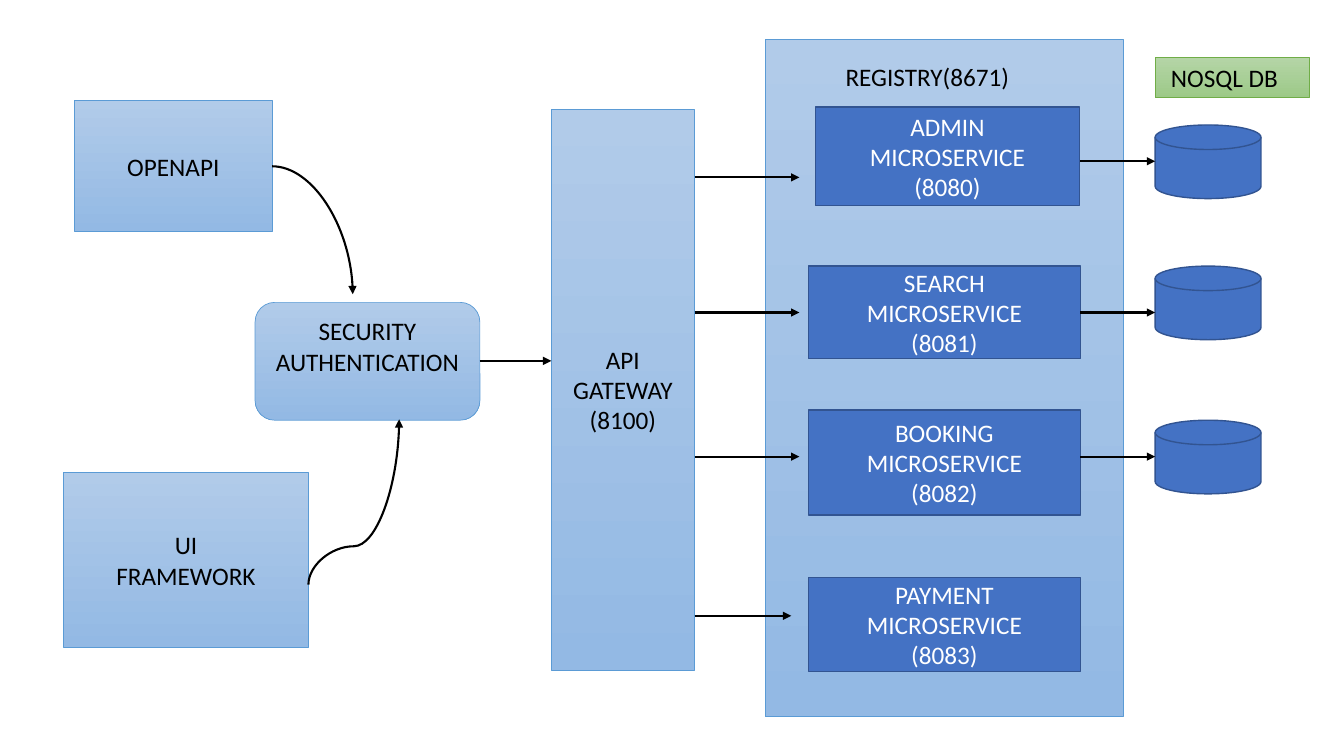
"""Builds a one-slide diagram of a microservice architecture behind an API gateway."""
from dataclasses import dataclass
from typing import Optional

from lxml import etree
from pptx import Presentation
from pptx.dml.color import RGBColor
from pptx.enum.shapes import MSO_CONNECTOR, MSO_SHAPE
from pptx.enum.text import MSO_ANCHOR, PP_ALIGN
from pptx.oxml.ns import qn
from pptx.util import Pt

RECTANGLE = MSO_SHAPE.RECTANGLE
ROUNDED = MSO_SHAPE.ROUNDED_RECTANGLE
DISK = MSO_SHAPE.FLOWCHART_MAGNETIC_DISK
STRAIGHT = MSO_CONNECTOR.STRAIGHT
CURVE = MSO_CONNECTOR.CURVE
CENTER, LEFT = PP_ALIGN.CENTER, PP_ALIGN.LEFT
MIDDLE, TOP = MSO_ANCHOR.MIDDLE, MSO_ANCHOR.TOP

BLACK = RGBColor(0x00, 0x00, 0x00)
WHITE = RGBColor(0xFF, 0xFF, 0xFF)
BLUE = RGBColor(0x44, 0x72, 0xC4)
DARK_BLUE = RGBColor(0x32, 0x54, 0x91)
SKY_LIGHT = RGBColor(0xB1, 0xCB, 0xE9)
SKY_DEEP = RGBColor(0x93, 0xB9, 0xE4)
SKY_EDGE = RGBColor(0x5B, 0x9B, 0xD5)
GREEN_LIGHT = RGBColor(0xB5, 0xD5, 0xA7)
GREEN_DEEP = RGBColor(0x9C, 0xC9, 0x87)
GREEN_EDGE = RGBColor(0x70, 0xAD, 0x47)

FONT = "Calibri"
TEXT_SIZE = 18
SERVICE_LEFT, SERVICE_WIDTH, SERVICE_RIGHT = 577.4, 194.4, 771.8
DISK_LEFT, DISK_WIDTH, DISK_HEIGHT = 825.1, 75.6, 52.6
GATEWAY_LEFT, GATEWAY_RIGHT = 393.8, 496.1


@dataclass(frozen=True)
class Style:
    """Fill, outline and text colour of a box."""
    top: RGBColor
    bottom: RGBColor
    edge: RGBColor
    edge_width: float
    text: RGBColor


SKY = Style(SKY_LIGHT, SKY_DEEP, SKY_EDGE, 0.5, BLACK)
GREEN = Style(GREEN_LIGHT, GREEN_DEEP, GREEN_EDGE, 0.5, BLACK)
SOLID = Style(BLUE, BLUE, DARK_BLUE, 1, WHITE)


@dataclass(frozen=True)
class Box:
    """A shape with an optional label, measured in points."""
    left: float
    top: float
    width: float
    height: float
    style: Style = SKY
    label: str = ""
    kind: MSO_SHAPE = RECTANGLE
    align: PP_ALIGN = CENTER
    anchor: MSO_ANCHOR = MIDDLE
    left_inset: float = 7.2
    bottom_inset: float = 3.6


@dataclass(frozen=True)
class Arrow:
    """A connector with an arrowhead at its end, measured in points."""
    start_x: float
    start_y: float
    end_x: float
    end_y: float
    kind: MSO_CONNECTOR = STRAIGHT
    preset: str = ""
    rotation: int = 0
    bend: Optional[int] = None


BOXES = [
    Box(546.5, 28.1, 255.6, 483.8),
    Box(582.5, 76.3, 188.6, 70.6, SOLID, "ADMIN\nMICROSERVICE\n(8080)"),
    *(Box(SERVICE_LEFT, top, SERVICE_WIDTH, height, SOLID, f"{name}\nMICROSERVICE\n({port})")
      for name, port, top, height in [
          ("SEARCH", 8081, 190.1, 66.2),
          ("BOOKING", 8082, 293, 74.9),
          ("PAYMENT", 8083, 412.6, 67)]),
    *(Box(DISK_LEFT, top, DISK_WIDTH, DISK_HEIGHT, SOLID, kind=DISK)
      for top in (89.3, 190.1, 300.2)),
    Box(DISK_LEFT, 41, 110.2, 28.8, GREEN, "NOSQL DB",
        align=LEFT, anchor=TOP, left_inset=11.3),
    Box(GATEWAY_LEFT, 77.8, 102.2, 401, SKY, "API\vGATEWAY\n(8100)"),
    Box(53.3, 72, 141.1, 93.6, SKY, "OPENAPI"),
    Box(45.4, 337.7, 175, 124.6, SKY, "UI\nFRAMEWORK"),
    Box(182.2, 216, 160.6, 84.2, SKY, "SECURITY\nAUTHENTICATION",
        ROUNDED, bottom_inset=25.6),
]

ARROWS = [
    *(Arrow(SERVICE_RIGHT, y, DISK_LEFT, y) for y in (115.2, 223.2, 326.2)),
    *(Arrow(GATEWAY_RIGHT, y, end, y)
      for y, end in [(126.7, 571), (223.2, 571), (326.2, 571), (439.9, 565.2)]),
    Arrow(342.7, 257.8, GATEWAY_LEFT, 257.8),
    Arrow(194.4, 118.8, 252, 210.2, CURVE, "curvedConnector2"),
    Arrow(311.8, 391, 193.7, 326.2, CURVE, "curvedConnector3", 90, 23200),
]


def write_label(frame, label: str, color: RGBColor, align: PP_ALIGN) -> None:
    """Set a label and format all of its text."""
    frame.word_wrap = True
    frame.text = label
    for para in frame.paragraphs:
        para.alignment = align
        for span in para.runs:
            span.font.name = FONT
            span.font.size = Pt(TEXT_SIZE)
            span.font.color.rgb = color


def draw_box(page, box: Box) -> None:
    """Draw one box with its fill, outline and label."""
    style = box.style
    shape = page.shapes.add_shape(
        box.kind, Pt(box.left), Pt(box.top), Pt(box.width), Pt(box.height))
    shape.shadow.inherit = False
    if style.top == style.bottom:
        shape.fill.solid()
        shape.fill.fore_color.rgb = style.top
    else:
        shape.fill.gradient()
        shape.fill.gradient_angle = 270
        for stop, color in zip(shape.fill.gradient_stops, (style.top, style.bottom)):
            stop.color.rgb = color
    shape.line.color.rgb = style.edge
    shape.line.width = Pt(style.edge_width)
    if box.label:
        frame = shape.text_frame
        frame.vertical_anchor = box.anchor
        frame.margin_left = Pt(box.left_inset)
        frame.margin_bottom = Pt(box.bottom_inset)
        write_label(frame, box.label, style.text, box.align)


def draw_arrow(page, arrow: Arrow) -> None:
    """Draw one connector with a triangular head."""
    connector = page.shapes.add_connector(
        arrow.kind, Pt(arrow.start_x), Pt(arrow.start_y), Pt(arrow.end_x), Pt(arrow.end_y))
    connector.line.color.rgb = BLACK
    connector.line.width = Pt(1.5)
    properties = connector.element.spPr
    etree.SubElement(properties.find(qn("a:ln")), qn("a:tailEnd"), type="triangle")
    etree.SubElement(properties, qn("a:effectLst"))
    if arrow.preset:
        geometry = properties.find(qn("a:prstGeom"))
        geometry.set("prst", arrow.preset)
        if arrow.bend is not None:
            guides = geometry.find(qn("a:avLst"))
            etree.SubElement(guides, qn("a:gd"), name="adj1", fmla=f"val {arrow.bend}")
    if arrow.rotation:
        properties.find(qn("a:xfrm")).set("rot", str(arrow.rotation * 60000))


def draw_registry_title(page) -> None:
    """Write the heading of the service registry."""
    title = page.shapes.add_textbox(Pt(596.9), Pt(40.3), Pt(168.5), Pt(28.8))
    write_label(title.text_frame, "REGISTRY(8671)", BLACK, LEFT)


def main() -> None:
    """Build and save the deck."""
    deck = Presentation()
    deck.slide_width, deck.slide_height = Pt(960), Pt(540)
    page = deck.slides.add_slide(deck.slide_layouts[6])
    for box in BOXES:
        draw_box(page, box)
    draw_registry_title(page)
    for arrow in ARROWS:
        draw_arrow(page, arrow)
    deck.save("out.pptx")


if __name__ == "__main__":
    main()
